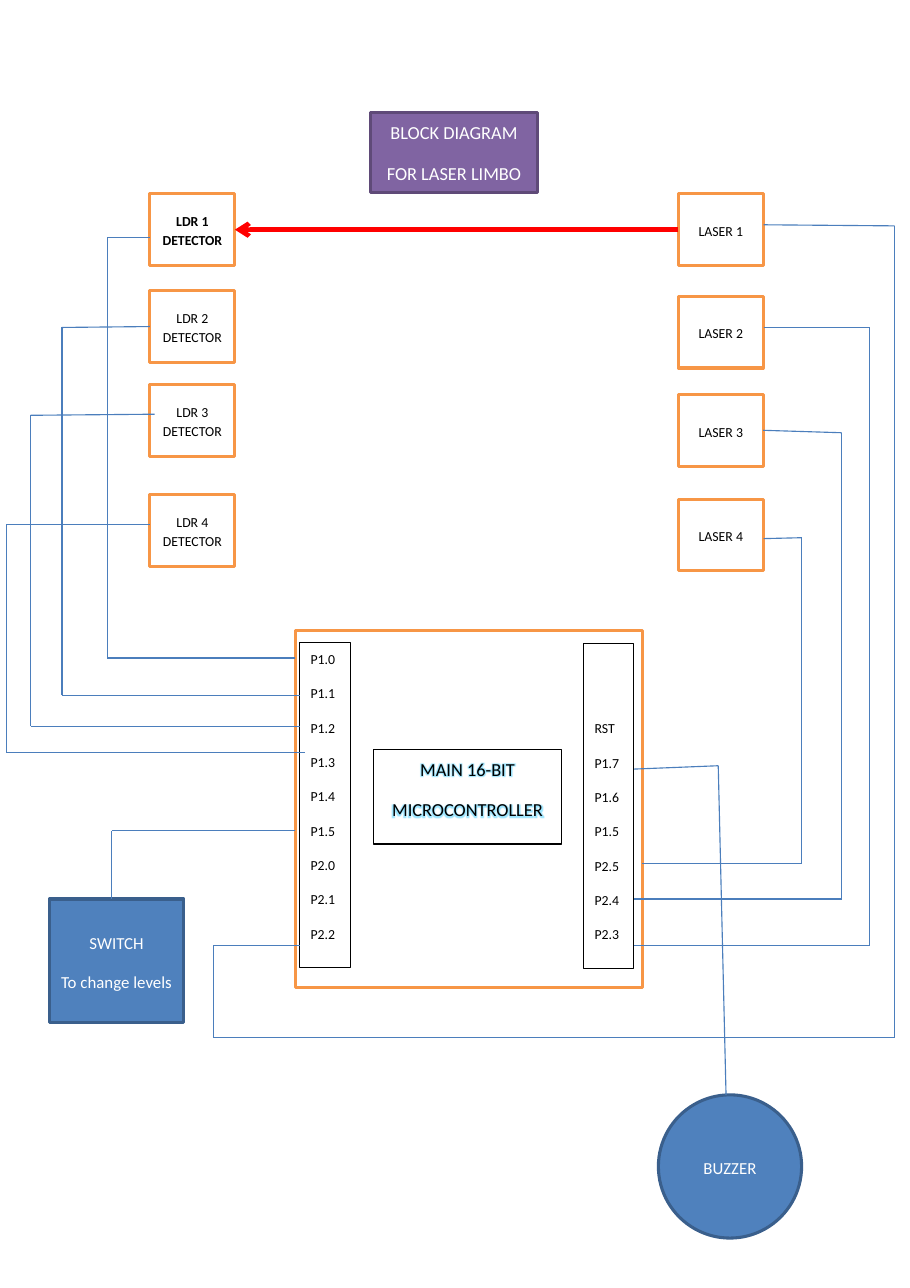
from lxml import etree
from pptx import Presentation
from pptx.dml.color import RGBColor
from pptx.enum.shapes import MSO_CONNECTOR, MSO_SHAPE
from pptx.enum.text import MSO_ANCHOR, MSO_AUTO_SIZE, PP_ALIGN
from pptx.oxml import parse_xml
from pptx.oxml.ns import nsdecls, qn
from pptx.util import Pt

RECT, OVAL = MSO_SHAPE.RECTANGLE, MSO_SHAPE.OVAL
LEFT, CENTER = PP_ALIGN.LEFT, PP_ALIGN.CENTER
TOP, MIDDLE = MSO_ANCHOR.TOP, MSO_ANCHOR.MIDDLE
STRAIGHT = MSO_CONNECTOR.STRAIGHT
COLORS = {
    "white": "FFFFFF", "black": "000000", "orange": "F79646",
    "blue": "4F81BD", "navy": "3A5F8C", "wire": "4B7EBC",
    "purple": "8064A2", "plum": "5F4A78", "red": "FF0000",
    "ink": "0F243E", "glow": "5DD5FF",
}
color = {name: RGBColor.from_string(code) for name, code in COLORS.items()}

deck = Presentation()
deck.slide_width, deck.slide_height = Pt(594.72), Pt(841.68)
slide = deck.slides.add_slide(deck.slide_layouts[5])
shapes = slide.shapes


def style(box, fill, line, weight, text="", size=9, ink="black",
          align=CENTER, anchor=MIDDLE, side=4, top=3.6):
    box.fill.solid()
    box.fill.fore_color.rgb = color[fill]
    box.line.color.rgb = color[line]
    box.line.width = Pt(weight)
    if not text:
        return
    frame = box.text_frame
    frame.text = text
    frame.word_wrap = True
    frame.auto_size = MSO_AUTO_SIZE.NONE
    frame.vertical_anchor = anchor
    frame.margin_left, frame.margin_right = Pt(side), Pt(4)
    frame.margin_top, frame.margin_bottom = Pt(top), Pt(3.6)
    for para in frame.paragraphs:
        para.alignment = align
        para.line_spacing = 1.15
        para.space_before, para.space_after = Pt(0), Pt(10)
        for run in para.runs:
            run.font.name = "Calibri"
            run.font.size = Pt(size)
            run.font.color.rgb = color[ink]


def connect(start, end, tint="wire", weight=0.75):
    link = shapes.add_connector(STRAIGHT, *[Pt(n) for n in start + end])
    link.line.color.rgb = color[tint]
    link.line.width = Pt(weight)
    etree.SubElement(link._element.spPr, qn("a:effectLst"))
    return link


# Title
title = shapes.title
title.left, title.top, title.width, title.height = Pt(242), Pt(73.5), Pt(109.5), Pt(52.5)
style(title, "purple", "plum", 2, "BLOCK DIAGRAM\nFOR LASER LIMBO", 12, "white", anchor=TOP)

# Detectors and lasers
columns = [
    (98, "LDR {} DETECTOR", (126.7, 190, 251.3, 323.3)),
    (443.3, "LASER {}", (126.7, 193.7, 257.8, 326.2)),
]
cells = {}
for x, label, tops in columns:
    for num, y in enumerate(tops, 1):
        name = label.format(num)
        cell = shapes.add_shape(RECT, Pt(x), Pt(y), Pt(55.5), Pt(46.8))
        cell.shadow.inherit = False
        style(cell, "white", "orange", 2, name)
        cells[name[:3] + str(num)] = cell
cells["LDR1"].text_frame.paragraphs[0].runs[0].font.bold = True

# Controller, pin strips, switch and buzzer
left_pins = "P1.0\nP1.1\nP1.2\nP1.3\nP1.4\nP1.5\nP2.0\nP2.1\nP2.2"
right_pins = "RST\nP1.7\nP1.6\nP1.5\nP2.5\nP2.4\nP2.3"
pins = dict(align=LEFT, anchor=TOP, side=7)
blocks = [
    ("board", RECT, (193, 411.8, 226.8, 233.3), ("white", "orange", 2), {}),
    ("left", RECT, (196, 420, 33, 212.4), ("white", "black", 0.5, left_pins), pins),
    ("right", RECT, (381.6, 420.3, 32.6, 212.4), ("white", "black", 0.5, right_pins),
     {**pins, "top": 48.6}),
    ("chip", RECT, (244, 489.6, 123.2, 62),
     ("white", "black", 0.75, "MAIN 16-BIT\nMICROCONTROLLER", 12), {"anchor": TOP}),
    ("switch", RECT, (32.2, 587.5, 88, 80.6),
     ("blue", "navy", 2, "SWITCH\nTo change levels", 11, "white"), {}),
    ("buzzer", OVAL, (430.3, 715.5, 93.6, 93.6),
     ("blue", "navy", 2, "BUZZER", 11, "white"), {}),
]
for name, kind, place, look, extra in blocks:
    block = shapes.add_shape(kind, *[Pt(n) for n in place])
    block.shadow.inherit = False
    style(block, *look, **extra)
    cells[name] = block

# Outline and glow on the chip name
for para in cells["chip"].text_frame.paragraphs:
    props = para.runs[0].font._element
    props.insert(0, parse_xml(
        f'<a:ln {nsdecls("a")} w="9525"><a:solidFill>'
        f'<a:srgbClr val="{COLORS["ink"]}"/></a:solidFill></a:ln>'))
    props.find(qn("a:solidFill")).addnext(parse_xml(
        f'<a:effectLst {nsdecls("a")}><a:glow rad="50800">'
        f'<a:srgbClr val="{COLORS["glow"]}"><a:alpha val="60000"/></a:srgbClr>'
        '</a:glow></a:effectLst>'))

# Wires: corner points, then the block side joined at the start
wires = [
    ([(98, 155.5), (70, 155.5), (70, 430), (193, 430)], None),
    ([(98, 213.4), (40.5, 214), (40.5, 454.3), (196, 454.3)], ("LDR2", 1)),
    ([(101, 270.7), (20, 271.4), (20, 474.5), (196, 474.5)], None),
    ([(98, 342.5), (4.5, 342.5), (4.5, 491.8), (199.4, 491.8)], None),
    ([(499, 146.9), (584.6, 147.6), (584.6, 678.2), (139.7, 678.2),
      (139.7, 617.8), (196, 617.8)], None),
    ([(499, 214), (568.5, 214), (568.5, 617.8), (414.5, 617.8)], None),
    ([(499, 281.2), (550, 282.8), (550, 587.5), (414.5, 587.5)], ("LAS3", 3)),
    ([(499, 352), (524, 351.4), (524, 564.5), (419.8, 564.5)], None),
    ([(414.5, 502.6), (469.4, 500.4), (474.5, 715.7)], None),
    ([(193, 543), (73, 543), (73, 587.5)], None),
]
for points, joint in wires:
    links = [connect(a, b) for a, b in zip(points, points[1:])]
    if joint:
        links[0].begin_connect(cells[joint[0]], joint[1])

# Laser beam
beam = connect((443.3, 150.1), (153.5, 150.1), "red", 3)
beam.begin_connect(cells["LAS1"], 1)
beam.end_connect(cells["LDR1"], 3)
etree.SubElement(beam.line._get_or_add_ln(), qn("a:tailEnd"), type="arrow")

deck.save("out.pptx")
